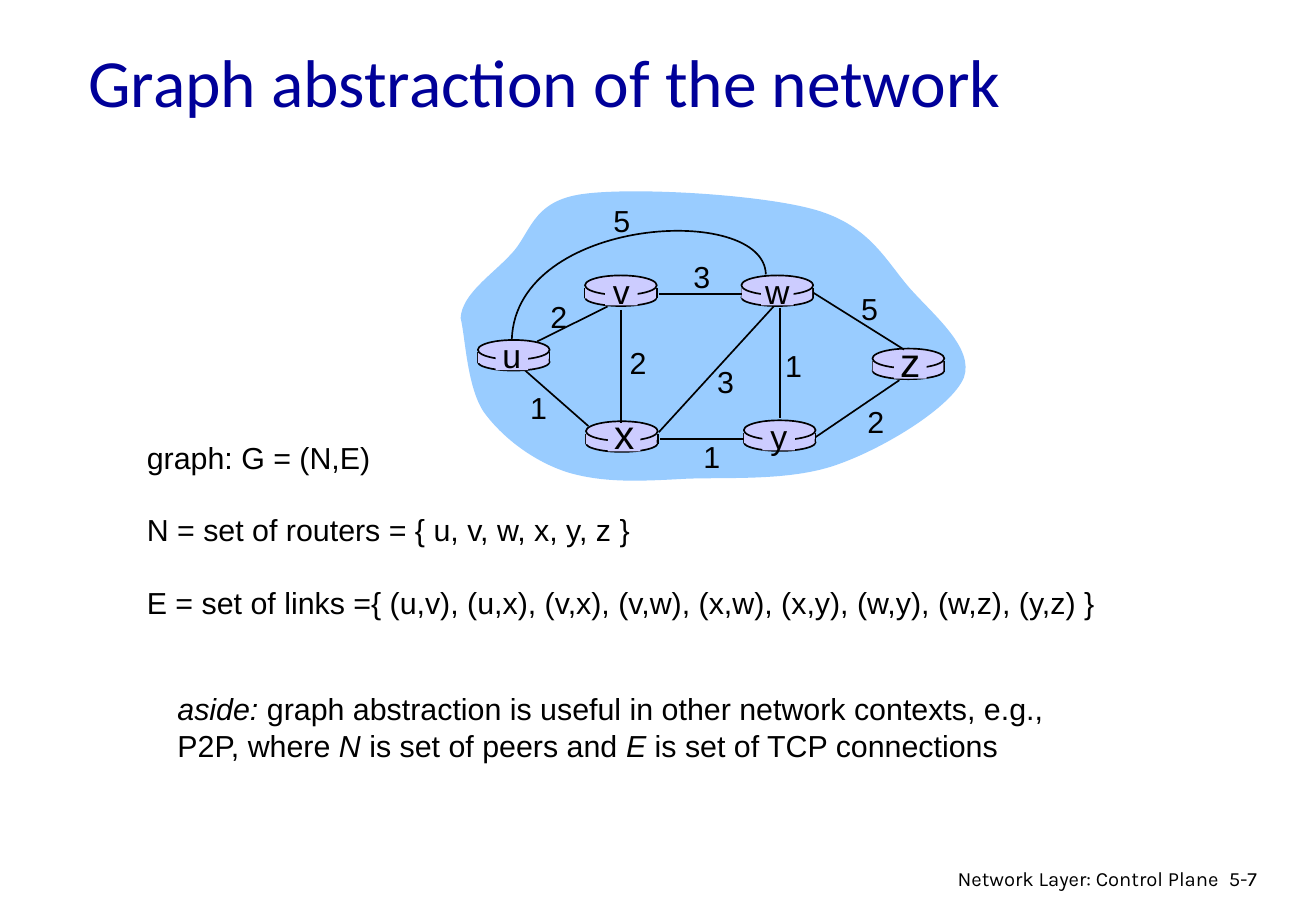
from lxml import etree
from pptx import Presentation
from pptx.dml.color import RGBColor
from pptx.enum import shapes, text
from pptx.oxml.ns import qn
from pptx.util import Cm, Pt

BLACK, LILAC, SKY, NAVY = "000000", "CCCCFF", "99CCFF", "000099"
LEFT, MID, RIGHT = text.PP_ALIGN.LEFT, text.PP_ALIGN.CENTER, text.PP_ALIGN.RIGHT
OVAL, RECT = shapes.MSO_SHAPE.OVAL, shapes.MSO_SHAPE.RECTANGLE

# All diagram places are in cm from the corner of the diagram's box.
CLOUD = [(0, 2.74),
         (0.03, 2.24), (0.64, 1.85), (1.04, 1.42),
         (1.47, 0.99), (1.47, 0.3), (2.54, 0.15),
         (3.58, 0), (6.27, 0.15), (7.42, 0.48),
         (8.56, 0.81), (8.89, 1.55), (9.4, 2.13),
         (9.93, 2.72), (10.74, 3.38), (10.52, 3.99),
         (10.26, 4.6), (8.89, 5.44), (7.92, 5.79),
         (6.96, 6.15), (5.69, 6.07), (4.75, 6.1),
         (3.81, 6.15), (3.02, 6.2), (2.24, 5.97),
         (1.52, 5.74), (0.86, 5.23), (0.48, 4.7),
         (0.13, 4.17), (0.1, 3.15), (0, 2.74)]
ARC = [(6.38, 1.83), (6.35, 0.33), (1.17, 0.61), (1.07, 3.18)]
# name, left, top, label centre from left, label size
ROUTERS = [("u", 0.36, 3.2, 0.71, 20), ("x", 2.62, 4.9, 0.8, 24),
           ("v", 2.6, 1.85, 0.76, 20), ("w", 5.87, 1.85, 0.75, 20),
           ("y", 5.92, 4.88, 0.73, 20), ("z", 8.61, 3.38, 0.79, 24)]
# start x, y, end x, y
LINKS = [(1.6, 3.23, 3.07, 2.5), (6.67, 2.54, 6.67, 4.83),
         (3.35, 2.57, 3.35, 4.93), (4.14, 5.13, 6.55, 2.49),
         (7.42, 5.23, 9.17, 4.04), (4.17, 5.27, 5.92, 5.27),
         (1.35, 3.84, 2.67, 5), (4.14, 2.24, 5.89, 2.24),
         (7.37, 2.21, 9.27, 3.4)]
# cost, centre x, centre y
COSTS = [("2", 2.05, 2.7), ("2", 3.71, 3.66), ("1", 1.63, 4.6),
         ("3", 5.54, 4.06), ("1", 5.25, 5.64), ("1", 6.96, 3.73),
         ("2", 8.68, 4.9), ("5", 8.55, 2.54), ("3", 5.04, 1.88),
         ("5", 3.37, 0.69)]


def tint(code):
    return RGBColor.from_string(code)


def style(shape, fill=None, line=None):
    shape.shadow.inherit = False
    if fill:
        shape.fill.solid()
        shape.fill.fore_color.rgb = tint(fill)
    else:
        shape.fill.background()
    if line:
        shape.line.color.rgb = tint(line)
        shape.line.width = Pt(1)
    else:
        shape.line.fill.background()


def block(slide, kind, x, y, w, h, line=None):
    shape = slide.shapes.add_shape(kind, Cm(x), Cm(y), Cm(w), Cm(h))
    style(shape, LILAC, line)


def link(slide, x1, y1, x2, y2):
    line = slide.shapes.add_connector(
        shapes.MSO_CONNECTOR.STRAIGHT, Cm(x1), Cm(y1), Cm(x2), Cm(y2))
    line.line.color.rgb = tint(BLACK)
    line.line.width = Pt(1)
    etree.SubElement(line._element.spPr, qn("a:effectLst"))


def curve(slide, x, y, knots, fill=None, line=None):
    """Draw a chain of cubic Bezier curves."""
    dots = [(Cm(x + a), Cm(y + b)) for a, b in knots]
    form = slide.shapes.build_freeform(*dots[0])
    form.add_line_segments(dots[1:], close=bool(fill))
    shape = form.convert_to_shape()
    legs = list(shape._element.iter(qn("a:lnTo")))
    for i in range(0, len(legs), 3):
        bend = etree.Element(qn("a:cubicBezTo"))
        legs[i].addprevious(bend)
        for leg in legs[i:i + 3]:
            bend.append(leg[0])
            leg.getparent().remove(leg)
    style(shape, fill, line)


def write(slide, x, y, w, h, paras, size, font="Arial", color=BLACK,
          align=LEFT, anchor=text.MSO_ANCHOR.TOP, gap=0):
    """Write paragraphs, each a list of runs; every second run is italic."""
    box = slide.shapes.add_textbox(Cm(x), Cm(y), Cm(w), Cm(h))
    frame = box.text_frame
    frame.word_wrap = True
    frame.vertical_anchor = anchor
    for i, runs in enumerate(paras):
        para = frame.add_paragraph() if i else frame.paragraphs[0]
        para.alignment = align
        para.space_before = Pt(gap if i else 0)
        for n, words in enumerate(runs):
            if not words:
                continue
            run = para.add_run()
            run.text = words
            run.font.name = font
            run.font.size = Pt(size)
            run.font.italic = n % 2 == 1
            run.font.color.rgb = tint(color)
    return frame


def label(slide, x, y, words, size):
    """Centre a short label on a point."""
    frame = write(slide, x - 0.45, y - 0.5, 0.9, 1, [[words]], size,
                  align=MID, anchor=text.MSO_ANCHOR.MIDDLE)
    frame.margin_left = frame.margin_right = 0
    frame.margin_top = frame.margin_bottom = 0
    frame.word_wrap = False


def router(slide, x, y):
    block(slide, OVAL, x, y + 0.28, 1.5, 0.36, BLACK)
    for side in (x, x + 1.5):
        link(slide, side, y + 0.26, side, y + 0.48)
    block(slide, RECT, x, y + 0.26, 1.48, 0.22)
    block(slide, OVAL, x, y, 1.5, 0.41, BLACK)


def graph(slide, x, y):
    curve(slide, x, y, CLOUD, fill=SKY)
    for _, dx, dy, _, _ in ROUTERS:
        router(slide, x + dx, y + dy)
    for x1, y1, x2, y2 in LINKS:
        link(slide, x + x1, y + y1, x + x2, y + y2)
    curve(slide, x, y, ARC, line=BLACK)
    for name, dx, dy, mid, size in ROUTERS:
        cx = x + dx + mid
        block(slide, RECT, cx - 0.34, y + dy + 0.05, 0.68, 0.58)
        label(slide, cx, y + dy + (0.32 if size == 20 else 0.26), name, size)
    for cost, dx, dy in COSTS:
        label(slide, x + dx, y + dy, cost, 18)


def notes(slide, x, y):
    write(slide, x, y, 20.9, 4.11, [
        ["graph: G = (N,E)"],
        ["N = set of routers = { u, v, w, x, y, z }"],
        ["E = set of links ={ (u,v), (u,x), (v,x), (v,w), (x,w), (x,y), "
         "(w,y), (w,z), (y,z) }"]], 18, gap=21.5)
    write(slide, x + 0.64, y + 5.26, 19.1, 1.8, [
        ["", "aside:", " graph abstraction is useful in other network contexts, e.g.,"],
        ["P2P, where ", "N", " is set of peers and ", "E",
         " is set of TCP connections"]], 18)


def footer(slide, x, y):
    write(slide, x, y, 6.55, 0.66, [["Network Layer: Control Plane"]], 12,
          "Karla", align=RIGHT)
    write(slide, x + 6.26, y, 1.65, 0.76, [["5-7"]], 12, "Karla")


def main():
    deck = Presentation()
    deck.slide_width, deck.slide_height = Cm(27.51), Cm(19.05)
    slide = deck.slides.add_slide(deck.slide_layouts[6])
    graph(slide, 9.63, 3.91)
    notes(slide, 2.82, 9.05)
    write(slide, 1.6, 0.58, 23.4, 2.21, [["Graph abstraction of the network"]],
          40, "Calibri", NAVY, anchor=text.MSO_ANCHOR.MIDDLE)
    footer(slide, 19.18, 17.99)
    deck.save("out.pptx")


if __name__ == "__main__":
    main()
